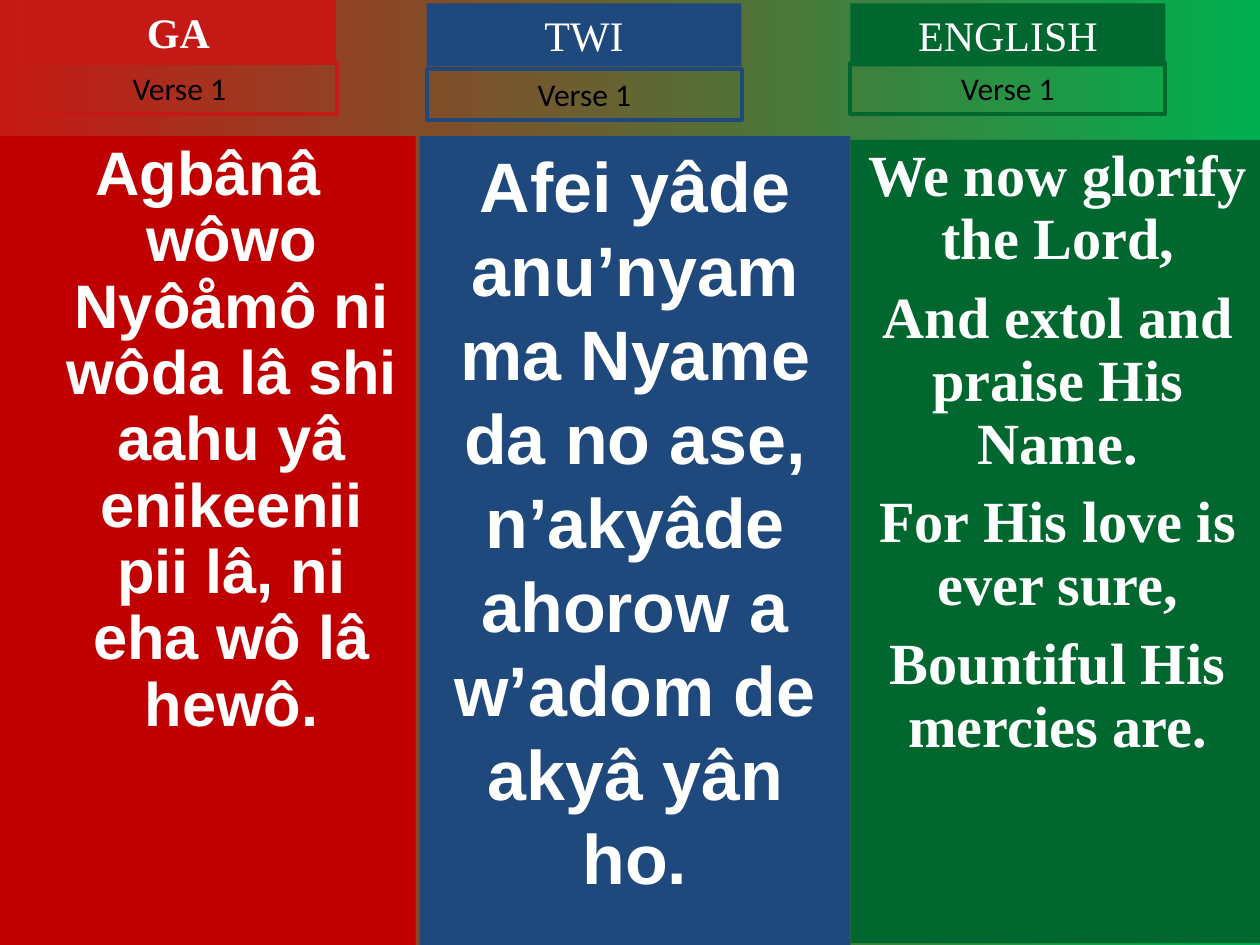
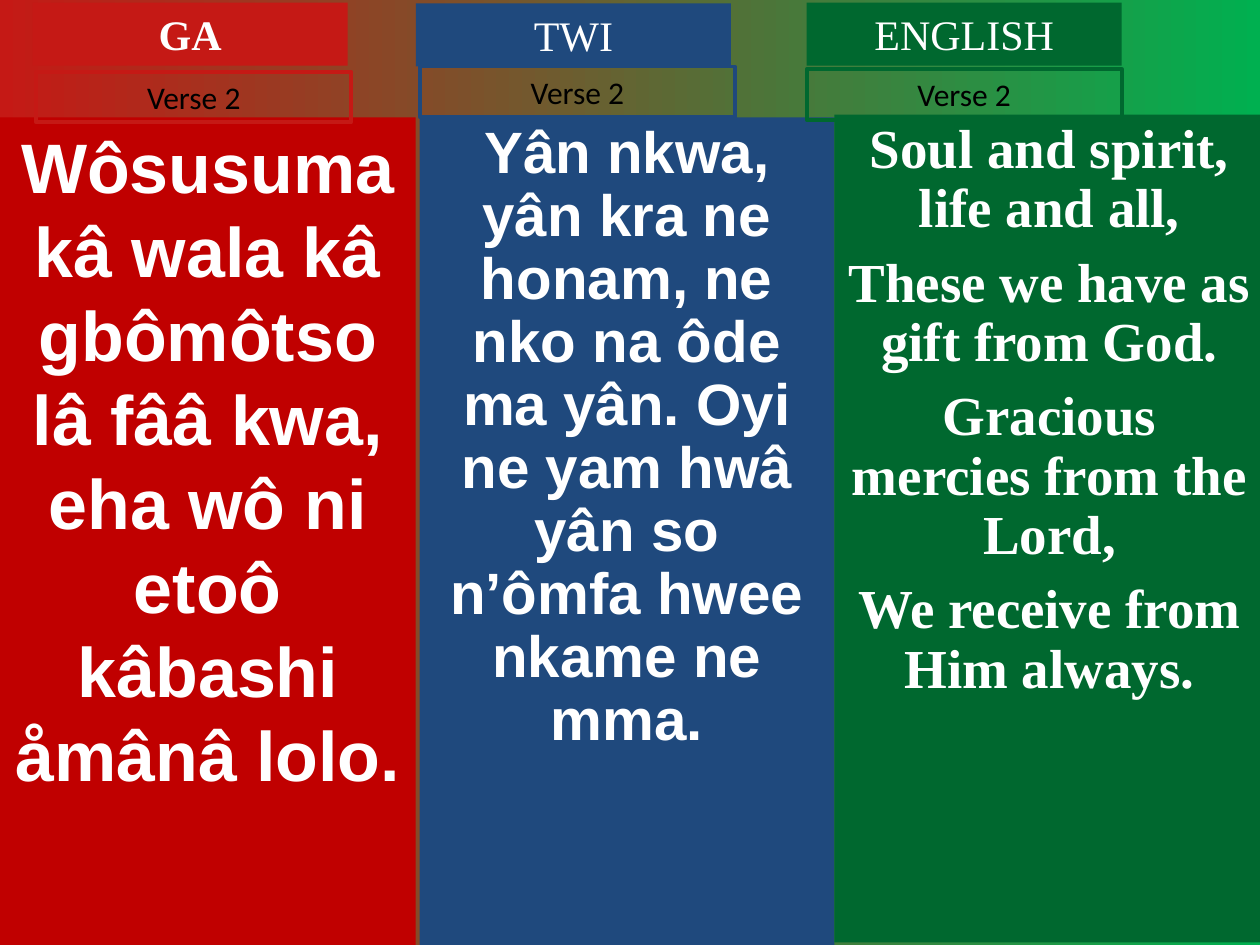
from dataclasses import dataclass

from lxml.etree import SubElement
from pptx import Presentation
from pptx.dml.color import RGBColor
from pptx.enum.shapes import MSO_SHAPE
from pptx.enum.text import MSO_ANCHOR, MSO_AUTO_SIZE, PP_ALIGN
from pptx.oxml.ns import qn
from pptx.util import Pt


@dataclass(frozen=True)
class Theme:
    """Colours, fonts and type sizes of the hymn slides."""
    fade: tuple = ("C51915", "00B050")
    accents: tuple = ("C51915", "1F497D", "00682F")
    panels: tuple = ("C00000", "1F497D", "00682F")
    lyric_fonts: tuple = ("Arial", "Arial", "Times New Roman")
    heading_font: str = "Times New Roman"
    label_font: str = "Calibri"
    light: str = "FFFFFF"
    dark: str = "000000"
    heading_size: float = 24
    label_size: float = 18
    border: float = 2.25


@dataclass(frozen=True)
class Column:
    """One language column; places are in points."""
    panel: tuple
    heading: tuple
    label: tuple
    lyrics: tuple
    size: float
    spacing: float = 0.9
    gap: float = 0
    hang: float = 0


THEME = Theme()
LANGUAGES = ("GA", "TWI", "ENGLISH")
PANEL_IDS = (1, 2, 4)
TAG_WIDTH, HEADING_HEIGHT, LABEL_HEIGHT = 180, 36, 29

VERSES = {
    "Verse 1": (
        Column((0, 77.75, 237.5, 462.25), (12, 0), (12.5, 36),
               ("Agbânâ wôwo Nyôåmô ni wôda lâ shi aahu yâ enikeenii "
                "pii lâ, ni eha wô lâ hewô.",), 35.1, hang=27),
        Column((239.75, 77.75, 246.25, 462.25), (243.75, 2), (244, 39.5),
               ("Afei yâde anu’nyam ma Nyame da no ase, n’akyâde ahorow a "
                "w’adom de akyâ yân ho.",), 40, spacing=1),
        Column((486, 80, 237, 459), (486, 2), (486, 36),
               ("We now glorify the Lord,",
                "And extol and praise His Name.",
                "For His love is ever sure,",
                "Bountiful His mercies are."), 33.3, gap=9),
    ),
    "Verse 2": (
        Column((0, 67, 237.5, 473), (18.75, 1.5), (20.75, 41),
               ("Wôsusuma kâ wala kâ gbômôtso lâ fââ kwa, eha wô ni etoô "
                "kâbashi åmânâ lolo.",), 40, spacing=1),
        Column((239.75, 67, 237, 473), (237.75, 2), (240, 38),
               ("Yân nkwa, yân kra ne honam, ne nko na ôde ma yân. Oyi ne "
                "yam hwâ yân so n’ômfa hwee nkame ne mma.",), 33.3),
        Column((476.75, 65.5, 246, 473), (461, 1.5), (461, 39.5),
               ("Soul and spirit, life and all,",
                "These we have as gift from God.",
                "Gracious mercies from the Lord,",
                "We receive from Him always."), 31.4, gap=8.5),
    ),
}


def rgb(value):
    """Return the colour for a hex value."""
    return RGBColor.from_string(value)


def paint_background(master):
    """Fade the master background from left to right."""
    fill = master.background.fill
    fill.gradient()
    fill.gradient_angle = 0
    for stop, position, color in zip(fill.gradient_stops, (0, 1), THEME.fade):
        stop.position = position
        stop.color.rgb = rgb(color)


def set_frame(tf):
    """Give a text frame the shared wrapping, insets and anchor."""
    tf.word_wrap = True
    tf.auto_size = MSO_AUTO_SIZE.NONE
    tf.vertical_anchor = MSO_ANCHOR.TOP
    tf.margin_left = tf.margin_right = Pt(7.2)
    tf.margin_top = tf.margin_bottom = Pt(3.6)


def set_font(p, name, size, color, bold=False):
    """Centre a paragraph and set its font."""
    p.alignment = PP_ALIGN.CENTER
    p.font.name = name
    p.font.size = Pt(size)
    p.font.bold = bold
    p.font.color.rgb = rgb(color)


def clear_bullet(p, hang):
    """Remove the bullet and set a hanging indent."""
    props = p._p.get_or_add_pPr()
    props.set("marL", str(Pt(hang)))
    props.set("indent", str(-Pt(hang)))
    SubElement(props, qn("a:buNone"))


def fill_panel(sp, column, color, font):
    """Place a body placeholder as a coloured panel of lyrics."""
    sp.left, sp.top, sp.width, sp.height = map(Pt, column.panel)
    sp.fill.solid()
    sp.fill.fore_color.rgb = rgb(color)
    tf = sp.text_frame
    set_frame(tf)
    tf.text = "\n".join(column.lyrics)
    for i, p in enumerate(tf.paragraphs):
        clear_bullet(p, column.hang)
        p.line_spacing = column.spacing
        p.space_before = Pt(column.gap if i else 0)
        set_font(p, font, column.size, THEME.light, True)


def add_tag(s, place, height, text):
    """Add a plain rectangle with one line of text."""
    sp = s.shapes.add_shape(MSO_SHAPE.RECTANGLE, *map(Pt, place),
                            Pt(TAG_WIDTH), Pt(height))
    sp.shadow.inherit = False
    set_frame(sp.text_frame)
    sp.text_frame.text = text
    return sp


def add_heading(s, place, text, color, bold):
    """Add a filled language heading."""
    sp = add_tag(s, place, HEADING_HEIGHT, text)
    sp.fill.solid()
    sp.fill.fore_color.rgb = rgb(color)
    sp.line.fill.background()
    set_font(sp.text_frame.paragraphs[0], THEME.heading_font,
             THEME.heading_size, THEME.light, bold)


def add_label(s, place, text, color):
    """Add an outlined verse label."""
    sp = add_tag(s, place, LABEL_HEIGHT, text)
    sp.fill.background()
    sp.line.color.rgb = rgb(color)
    sp.line.width = Pt(THEME.border)
    set_font(sp.text_frame.paragraphs[0], THEME.label_font,
             THEME.label_size, THEME.dark)


def add_verse(prs, verse, columns):
    """Add a slide with one verse in three languages."""
    s = prs.slides.add_slide(prs.slide_layouts.get_by_name("Comparison"))
    panels = {sp.placeholder_format.idx: sp for sp in s.placeholders}
    for i, column in enumerate(columns):
        fill_panel(panels.pop(PANEL_IDS[i]), column,
                   THEME.panels[i], THEME.lyric_fonts[i])
        add_heading(s, column.heading, LANGUAGES[i], THEME.accents[i], i == 0)
        add_label(s, column.label, verse, THEME.accents[i])
    for sp in panels.values():
        sp.element.getparent().remove(sp.element)


def main():
    """Build and save the hymn slides."""
    prs = Presentation()
    prs.slide_width, prs.slide_height = Pt(720), Pt(540)
    paint_background(prs.slide_master)
    for verse, columns in VERSES.items():
        add_verse(prs, verse, columns)
    prs.save("out.pptx")


if __name__ == "__main__":
    main()
